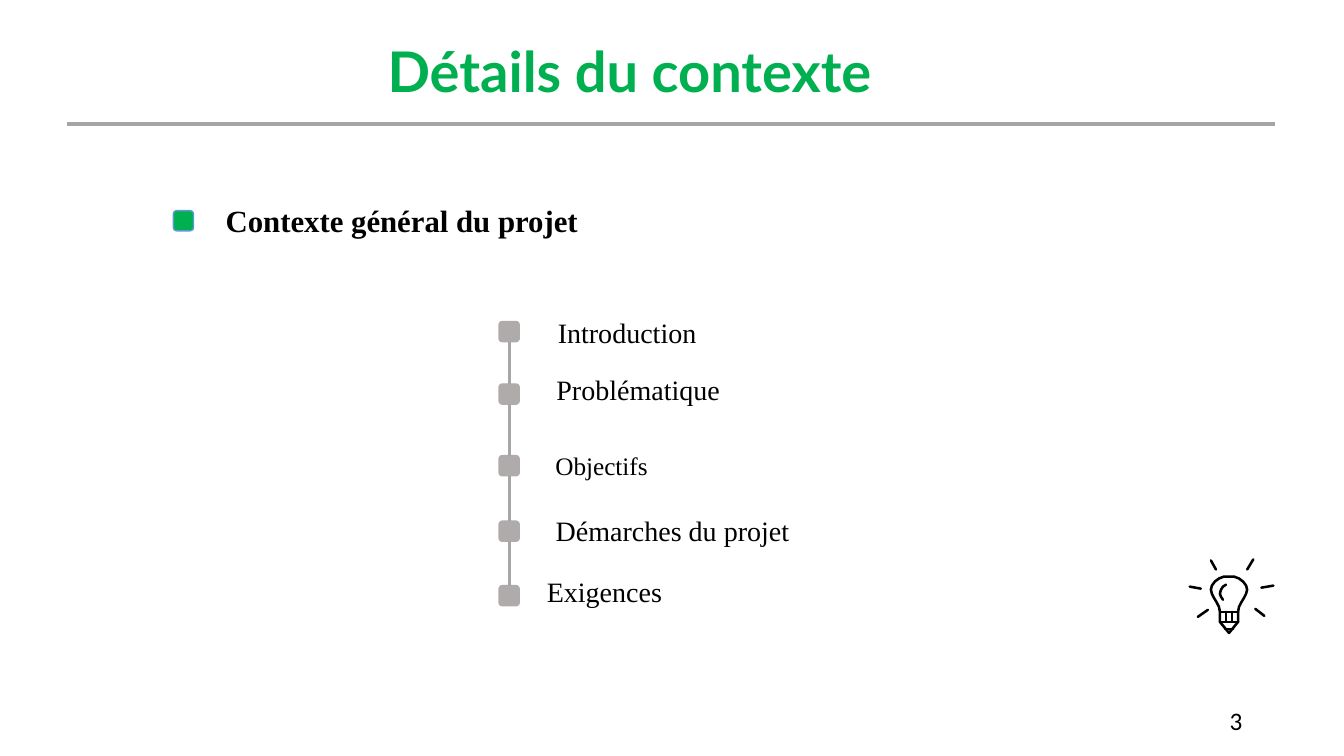
from lxml.etree import SubElement
from pptx import Presentation
from pptx.dml.color import RGBColor
from pptx.enum.shapes import MSO_CONNECTOR, MSO_SHAPE
from pptx.enum.text import MSO_ANCHOR, PP_ALIGN
from pptx.oxml.ns import qn
from pptx.util import Inches, Pt

COLORS = {"green": "00B050", "blue": "5B9BD5", "rule": "A5A5A5",
          "link": "A6A6A6", "square": "AFABAB", "black": "000000"}
SERIF = "Times New Roman"

prs = Presentation()
prs.slide_width, prs.slide_height = Inches(13.33), Inches(7.5)
s = prs.slides.add_slide(prs.slide_layouts[6])


def add_text(text, x, y, w, h, size=20, font=SERIF, color="black", bold=False,
             align=PP_ALIGN.LEFT, anchor=MSO_ANCHOR.TOP, wrap=True, inset=(0.1, 0.05)):
    tf = s.shapes.add_textbox(Inches(x), Inches(y), Inches(w), Inches(h)).text_frame
    tf.word_wrap = wrap
    tf.vertical_anchor = anchor
    tf.margin_left = tf.margin_right = Inches(inset[0])
    tf.margin_top = tf.margin_bottom = Inches(inset[1])
    p = tf.paragraphs[0]
    p.alignment = align
    r = p.add_run()
    r.text = text
    r.font.size, r.font.name, r.font.bold = Pt(size), font, bold
    r.font.color.rgb = RGBColor.from_string(COLORS[color])


def add_line(x1, y1, x2, y2, color, width, cap="flat"):
    line = s.shapes.add_connector(MSO_CONNECTOR.STRAIGHT, Inches(x1), Inches(y1),
                                  Inches(x2), Inches(y2))
    line.line.color.rgb = RGBColor.from_string(COLORS[color])
    line.line.width = Pt(width)
    line.line._get_or_add_ln().set("cap", cap)
    SubElement(line._element.spPr, qn("a:effectLst"))
    return line


add_text("Détails du contexte ", 2.06, 0.29, 8.5, 0.7, size=40, font="Lato",
         color="green", bold=True, align=PP_ALIGN.CENTER, inset=(0.13, 0.07))
add_line(0.66, 1.23, 12.65, 1.23, "rule", 3)
add_text("Contexte général du projet", 2.14, 1.95, 7.66, 0.47, size=22, bold=True)
add_text("3", 9.42, 6.95, 3, 0.4, size=18, font="Calibri",
         align=PP_ALIGN.RIGHT, anchor=MSO_ANCHOR.MIDDLE)

squares = []
for x, y, fill, outline in [(1.72, 2.09, "green", "blue")] + [
        (4.95, y, "square", "square") for y in (3.19, 3.81, 4.52, 5.17, 5.81)]:
    sp = s.shapes.add_shape(MSO_SHAPE.ROUNDED_RECTANGLE, Inches(x), Inches(y),
                            Inches(0.2), Inches(0.2))
    sp.shadow.inherit = False
    sp.fill.solid()
    sp.fill.fore_color.rgb = RGBColor.from_string(COLORS[fill])
    sp.line.color.rgb = RGBColor.from_string(COLORS[outline])
    sp.line.width = Pt(1)
    squares.append(sp)

steps = squares[1:]
for upper, lower in zip(steps, steps[1:]):
    link = add_line(5.05, 3.39, 5.05, 3.81, "link", 2.25)
    link.begin_connect(upper, 2)
    link.end_connect(lower, 0)

for text, x, y, w, h, size, align, wrap in [
        ("Introduction", 5.05, 3.08, 2.34, 0.44, 20, PP_ALIGN.CENTER, True),
        ("Problématique", 5.16, 3.65, 2.34, 0.44, 20, PP_ALIGN.CENTER, True),
        ("Objectifs", 5.41, 4.42, 1.13, 0.4, 18, PP_ALIGN.LEFT, False),
        ("Démarches du projet", 5.4, 5.05, 2.54, 0.44, 20, PP_ALIGN.CENTER, False),
        ("Exigences", 5.32, 5.65, 1.35, 0.44, 20, PP_ALIGN.CENTER, False)]:
    add_text(text, x, y, w, h, size=size, align=align, wrap=wrap)

bulb_x = 12.19
half_bulb = [(0, 5.72), (0.05, 5.72), (0.1, 5.74), (0.14, 5.77), (0.17, 5.81),
             (0.18, 5.85), (0.17, 5.89), (0.15, 5.93), (0.12, 5.98), (0.1, 6.02),
             (0.09, 6.07), (0.09, 6.17), (0, 6.28)]
bulb = [(bulb_x + dx, y) for dx, y in half_bulb]
bulb += [(bulb_x - dx, y) for dx, y in half_bulb[-2:0:-1]]
glare = [(12.16, 5.8), (12.13, 5.82), (12.11, 5.85), (12.1, 5.89), (12.11, 5.92), (12.13, 5.95)]
for points, closed in ((bulb, True), (glare, False)):
    outline = [(Inches(x), Inches(y)) for x, y in points]
    builder = s.shapes.build_freeform(*outline[0], scale=1.0)
    builder.add_line_segments(outline[1:], close=closed)
    sp = builder.convert_to_shape()
    sp.shadow.inherit = False
    sp.fill.background()
    sp.line.color.rgb = RGBColor.from_string(COLORS["black"])
    sp.line.width = Pt(1.8)
    sp.line._get_or_add_ln().set("cap", "rnd")

base = [(12.1, 6.07, 12.28, 6.07), (12.1, 6.17, 12.28, 6.17), (12.16, 6.07, 12.16, 6.17),
        (12.22, 6.07, 12.22, 6.17), (12.15, 6.24, 12.23, 6.24)]
rays = [(11.88, 6.12, 11.98, 6.05), (12.37, 5.65, 12.43, 5.55), (12.01, 5.56, 12.06, 5.65),
        (12.45, 6.04, 12.54, 6.11), (12.51, 5.83, 12.63, 5.81), (11.8, 5.82, 11.91, 5.84)]
for ends in base + rays:
    add_line(*ends, "black", 1.8, cap="rnd")

prs.save("out.pptx")
